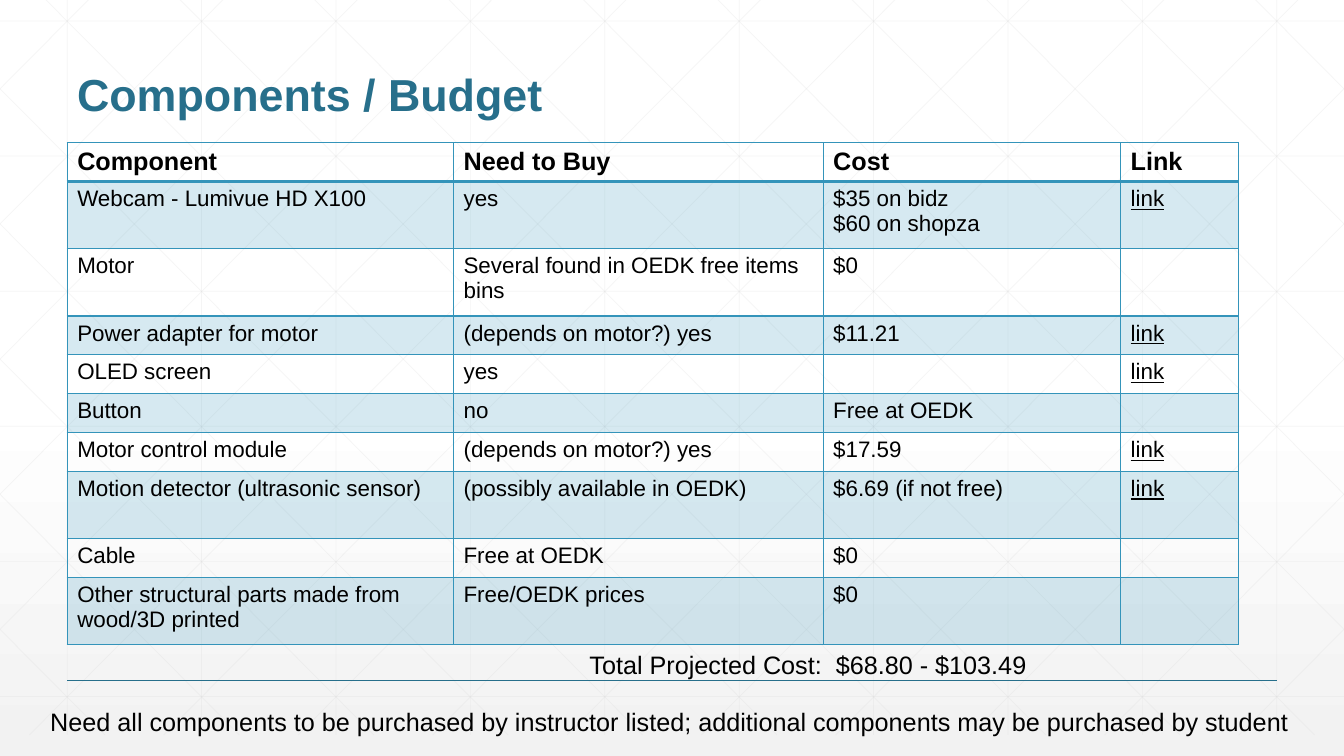
import dataclasses
import typing

import lxml.etree
import pptx
import pptx.dml.color
import pptx.enum.shapes
import pptx.enum.text
import pptx.oxml
import pptx.oxml.ns
import pptx.util

Pt = pptx.util.Pt
qn = pptx.oxml.ns.qn

HUES = {"ink": "000000", "head": "276F8B", "teal": "3494BA",
        "grid": "D9D9D9", "white": "FFFFFF", "mist": "F2F2F2"}
FONT = "Arial"
WIDE, HIGH = 960, 540
TOP, END = -15, 525
STEP = 96
LEAN = 537


@dataclasses.dataclass
class Line:
    x1: float
    y1: float
    x2: float
    y2: float
    hue: str = "grid"
    width: float = 0.5
    alpha: int = 25


@dataclasses.dataclass
class Label:
    text: str
    left: float
    top: float
    width: float
    height: float
    size: int = 18
    hue: str = "ink"
    bold: bool = False
    wrap: bool = True
    low: bool = False
    space: float = 1.0


@dataclasses.dataclass
class Row:
    cells: tuple[str, str, str, str]
    height: float = 27.75


TALL = 48
COLS = (276, 264, 212.5, 84)
ROWS = (
    Row(("Component", "Need to Buy", "Cost", "Link")),
    Row(("Webcam - Lumivue HD X100", "yes", "$35 on bidz\n$60 on shopza", "link"), TALL),
    Row(("Motor", "Several found in OEDK free items bins", "$0", ""), TALL),
    Row(("Power adapter for motor", "(depends on motor?) yes", "$11.21", "link")),
    Row(("OLED screen", "yes", "", "link")),
    Row(("Button", "no", "Free at OEDK", "")),
    Row(("Motor control module", "(depends on motor?) yes", "$17.59", "link")),
    Row(("Motion detector (ultrasonic sensor)", "(possibly available in OEDK)",
         "$6.69 (if not free)", "link"), TALL),
    Row(("Cable", "Free at OEDK", "$0", "")),
    Row(("Other structural parts made from wood/3D printed", "Free/OEDK prices", "$0", ""), TALL),
)
LABELS = (
    Label("Components / Budget", 48, 18, 864, 72, 32, "head", True, low=True, space=0.9),
    Label("Need all components to be purchased by instructor listed; "
          "additional components may be purchased by student", 28.8, 501, 907, 29, wrap=False),
    Label("Total Projected Cost:  $68.80 - $103.49", 414, 460, 462, 29),
)


def shade(name: str) -> pptx.dml.color.RGBColor:
    return pptx.dml.color.RGBColor.from_string(HUES[name])


def fade(node: typing.Any, alpha: int) -> None:
    for mark in node.iter(qn("a:srgbClr")):
        lxml.etree.SubElement(mark, qn("a:alpha")).set("val", str(alpha * 1000))


def paint(slide: typing.Any) -> None:
    fill = slide.background.fill
    fill.gradient()
    fill.gradient_angle = 270
    stops = slide.element.find(".//" + qn("a:gsLst"))
    for stop in list(stops):
        stops.remove(stop)
    for place, hue, alpha in ((0, "white", 100), (53, "white", 100), (100, "mist", 65)):
        stop = lxml.etree.SubElement(stops, qn("a:gs"))
        stop.set("pos", str(place * 1000))
        lxml.etree.SubElement(stop, qn("a:srgbClr")).set("val", HUES[hue])
        if alpha < 100:
            fade(stop, alpha)


def slants() -> typing.Iterator[Line]:
    for k in range(-5, 10):
        start = 18 + STEP * k
        left, right = max(0, start), min(WIDE, start + LEAN)
        y1, y2 = (TOP + (x - start) * (END - TOP) / LEAN for x in (left, right))
        yield Line(left, y1, right, y2)
        yield Line(WIDE - left, y1, WIDE - right, y2)


def mesh() -> typing.Iterator[Line]:
    for k in range(10):
        x = 48 + STEP * k
        yield Line(x, TOP, x, END)
    for k in range(6):
        y = 15 + 96.5 * k
        yield Line(0, y, WIDE, y)
    yield from slants()


def draw_line(shapes: typing.Any, item: Line) -> None:
    line = shapes.add_connector(
        pptx.enum.shapes.MSO_CONNECTOR.STRAIGHT,
        Pt(item.x1), Pt(item.y1), Pt(item.x2), Pt(item.y2))
    line.line.width = Pt(item.width)
    line.line.color.rgb = shade(item.hue)
    props = line._element.spPr
    if item.alpha < 100:
        fade(props, item.alpha)
    lxml.etree.SubElement(props, qn("a:effectLst"))


def style(frame: typing.Any, size: int, hue: str, bold: bool, under: bool = False) -> None:
    for para in frame.paragraphs:
        if not para.runs:
            para._p.get_or_add_endParaRPr().set("sz", str(size * 100))
        for run in para.runs:
            font = run.font
            font.name, font.size, font.bold = FONT, Pt(size), bold
            font.color.rgb = shade(hue)
            font.underline = under


def draw_label(shapes: typing.Any, item: Label) -> None:
    box = shapes.add_textbox(Pt(item.left), Pt(item.top), Pt(item.width), Pt(item.height))
    frame = box.text_frame
    frame.text = item.text
    frame.word_wrap = item.wrap
    if item.low:
        frame.vertical_anchor = pptx.enum.text.MSO_ANCHOR.BOTTOM
    frame.paragraphs[0].line_spacing = item.space
    style(frame, item.size, item.hue, item.bold)


def edge(cell: typing.Any, sides: dict[str, float]) -> None:
    props = cell._tc.get_or_add_tcPr()
    for place, (side, width) in enumerate(sides.items()):
        line = pptx.oxml.parse_xml(
            f'<a:ln{side} xmlns:a="http://schemas.openxmlformats.org/drawingml/2006/main" '
            f'w="{Pt(width)}"><a:solidFill><a:srgbClr val="{HUES["teal"]}"/></a:solidFill>'
            f'</a:ln{side}>')
        props.insert(place, line)


def draw_table(shapes: typing.Any) -> None:
    high = sum(row.height for row in ROWS)
    table = shapes.add_table(len(ROWS), len(COLS), Pt(48), Pt(102),
                             Pt(sum(COLS)), Pt(high)).table
    table.first_row = table.horz_banding = False
    for col, width in zip(table.columns, COLS):
        col.width = Pt(width)
    for r, row in enumerate(ROWS):
        table.rows[r].height = Pt(row.height)
        for c, text in enumerate(row.cells):
            cell = table.cell(r, c)
            cell.text_frame.text = text
            style(cell.text_frame, 16 if r else 18, "ink", r == 0, text == "link")
            if r % 2:
                cell.fill.solid()
                cell.fill.fore_color.rgb = shade("teal")
                fade(cell._tc.tcPr, 20)
            else:
                cell.fill.background()
            edge(cell, {"L": 1, "R": 1, "T": 2 if r == 1 else 1, "B": 1 if r else 2})


def main() -> None:
    deck = pptx.Presentation()
    deck.slide_width, deck.slide_height = Pt(WIDE), Pt(HIGH)
    slide = deck.slides.add_slide(deck.slide_layouts[6])
    paint(slide)
    group = slide.shapes.add_group_shape()
    for item in mesh():
        draw_line(group.shapes, item)
    draw_line(slide.shapes, Line(48, 486, 912, 486, "head", 1, 100))
    draw_table(slide.shapes)
    for label in LABELS:
        draw_label(slide.shapes, label)
    deck.save("out.pptx")


if __name__ == "__main__":
    main()
